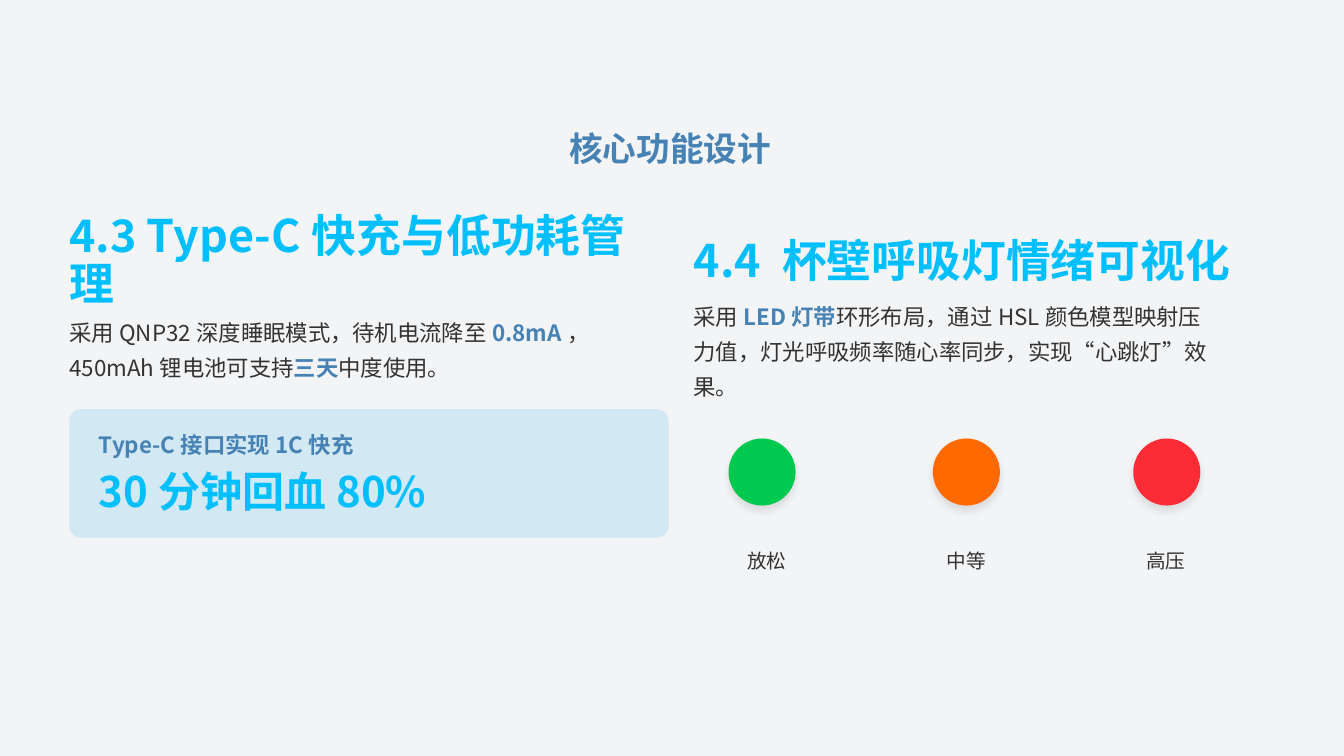
"""Build the core feature slide: fast charging and the mood light."""
from lxml import etree
from pptx import Presentation
from pptx import util as u
from pptx.dml.color import RGBColor
from pptx.enum import shapes, text
from pptx.oxml import ns

FONT = "Noto Sans CJK SC"
BACKGROUND = RGBColor(0xF3, 0xF4, 0xF6)
SKY = RGBColor(0x00, 0xBF, 0xFF)
STEEL = RGBColor(0x46, 0x82, 0xB4)
INK = RGBColor(0x33, 0x33, 0x33)
CARD = RGBColor(0x87, 0xCE, 0xEB)
GREEN = RGBColor(0x00, 0xC9, 0x50)
ORANGE = RGBColor(0xFF, 0x69, 0x00)
RED = RGBColor(0xFB, 0x2C, 0x36)


def add_text(x, y, w, h, size, spacing, runs, align=text.PP_ALIGN.LEFT):
    tf = s.shapes.add_textbox(u.Cm(x), u.Cm(y), u.Cm(w), u.Cm(h)).text_frame
    tf.word_wrap = True
    tf.vertical_anchor = text.MSO_ANCHOR.MIDDLE
    tf.margin_left = tf.margin_top = tf.margin_right = tf.margin_bottom = 0
    p = tf.paragraphs[0]
    p.alignment = align
    p.line_spacing = spacing
    for words, color in runs:
        r = p.add_run()
        r.text = words
        r.font.size = u.Pt(size)
        r.font.bold = color != INK
        r.font.color.rgb = color
        r.font.name = FONT
        etree.SubElement(r.font._element, ns.qn("a:ea"), typeface=FONT)


def add_filled(kind, x, y, w, h, color):
    sp = s.shapes.add_shape(kind, u.Cm(x), u.Cm(y), u.Cm(w), u.Cm(h))
    sp.shadow.inherit = False
    sp.fill.solid()
    sp.fill.fore_color.rgb = color
    sp.line.fill.background()
    return sp


prs = Presentation()
prs.slide_width, prs.slide_height = u.Cm(33.87), u.Cm(19.05)
s = prs.slides.add_slide(prs.slide_layouts[6])
s.background.fill.solid()
s.background.fill.fore_color.rgb = BACKGROUND

add_text(14.35, 3.12, 12.01, 1.12, 24, 1.1, [("核心功能设计", STEEL)])

add_text(1.75, 5.89, 14.88, 1.42, 32, 0.9, [("4.3 Type-C快充与低功耗管理", SKY)])
add_text(1.75, 7.87, 14, 1.7, 16, 1.3, [
    ("采用QNP32深度睡眠模式，待机电流降至", INK),
    ("0.8mA", STEEL),
    ("，450mAh锂电池可支持", INK),
    ("三天", STEEL),
    ("中度使用。", INK),
])
card = add_filled(shapes.MSO_SHAPE.ROUNDED_RECTANGLE, 1.75, 10.31, 15.1, 3.24, CARD)
card.adjustments[0] = 0.09
tint = card._element.spPr.find(ns.qn("a:solidFill"))[0]
etree.SubElement(tint, ns.qn("a:alpha"), val="30000")
add_text(2.49, 10.69, 14.25, 0.84, 16, 1.3, [("Type-C接口实现1C快充", STEEL)])
add_text(2.49, 11.73, 14.5, 1.27, 30, 1.0, [("30分钟回血80%", SKY)])

add_text(17.48, 5.92, 15.72, 1.42, 32, 0.9, [("4.4 杯壁呼吸灯情绪可视化", SKY)])
add_text(17.48, 7.9, 13.31, 1.7, 16, 1.3, [
    ("采用", INK),
    ("LED灯带", STEEL),
    ("环形布局，通过HSL颜色模型映射压力值，灯光呼吸频率随心率同步，实现“心跳灯”效果。", INK),
])

LIGHTS = [("放松", GREEN, 18.36), ("中等", ORANGE, 23.51), ("高压", RED, 28.56)]
for i, (mood, color, x) in enumerate(LIGHTS):
    light = add_filled(shapes.MSO_SHAPE.OVAL, x, 11.05, 1.69, 1.69, color)
    effects = light._element.spPr.find(ns.qn("a:effectLst"))
    shadow = etree.SubElement(effects, ns.qn("a:outerShdw"), blurRad=str(u.Pt(6)),
                              dist=str(u.Pt(4)), dir="5400000", rotWithShape="0")
    black = etree.SubElement(shadow, ns.qn("a:srgbClr"), val="000000")
    etree.SubElement(black, ns.qn("a:alpha"), val="10000")
    add_text(18.36 + 5.03 * i, 13.72, 1.93, 0.71, 14, 1.2, [(mood, INK)],
             text.PP_ALIGN.CENTER)

prs.save("out.pptx")
